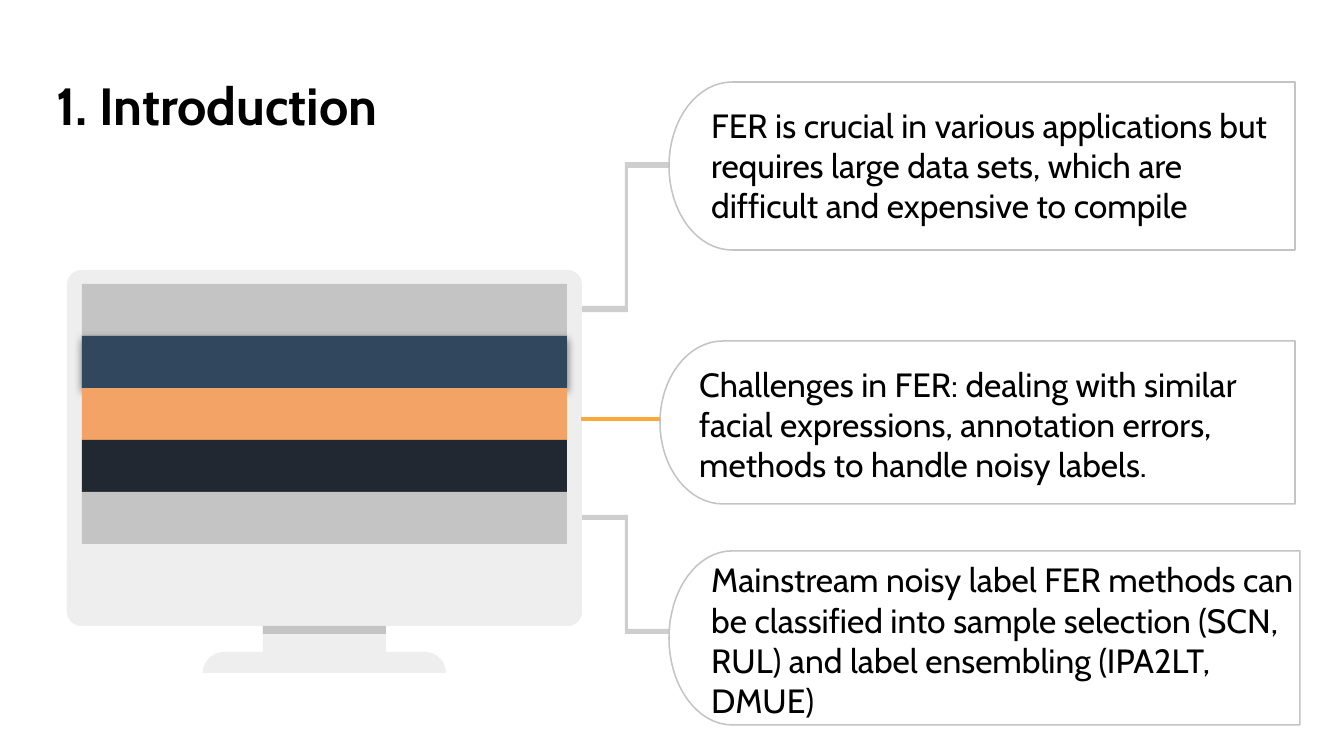
import math

from lxml import etree
from pptx import Presentation, util as u
from pptx.dml.color import RGBColor
from pptx.enum import shapes, text
from pptx.oxml import ns

PX = 914400 / 134.4
PALE, GREY = "EEEEEE", "C4C4C4"
MONITOR_LEFT, MONITOR_WIDTH = 67, 515
CALLOUT_CURVE = 63


def px(value):
    return u.Emu(round(value * PX))


def color(value):
    return RGBColor.from_string(value)


def paint(shape, fill, line=None):
    shape.shadow.inherit = False
    shape.fill.solid()
    shape.fill.fore_color.rgb = color(fill)
    if line:
        shape.line.color.rgb = color(line)
        shape.line.width = u.Pt(0.81)
    else:
        shape.line.fill.background()
    return shape


def add_block(slide, box, fill, kind=shapes.MSO_SHAPE.RECTANGLE, corners=()):
    block = slide.shapes.add_shape(kind, *map(px, box))
    for index, corner in enumerate(corners):
        block.adjustments[index] = corner
    return paint(block, fill)


def add_outline(slide, points, fill, line=None):
    first, *rest = [(px(x), px(y)) for x, y in points]
    builder = slide.shapes.build_freeform(*first, scale=1.0)
    builder.add_line_segments(rest, close=True)
    return paint(builder.convert_to_shape(), fill, line)


def arc(x, y, radius_x, radius_y, start, end, steps=32):
    angles = [math.radians(start + (end - start) * i / steps) for i in range(steps + 1)]
    return [(x + radius_x * math.cos(a), y + radius_y * math.sin(a)) for a in angles]


def add_callout(slide, left, top, right, bottom):
    radius = (bottom - top) / 2
    curve = arc(left + CALLOUT_CURVE, top + radius, CALLOUT_CURVE, radius, 270, 90)
    add_outline(slide, curve + [(right, bottom), (right, top)], "FFFFFF", GREY)


def add_bracket(slide, monitor_y, callout_y, thickness):
    points = [
        (581, monitor_y), (628, monitor_y), (628, callout_y), (669, callout_y),
        (669, callout_y - thickness), (625, callout_y - thickness),
        (625, monitor_y - thickness), (581, monitor_y - thickness),
    ]
    add_outline(slide, points, "CECECE")


def add_shadow(shape):
    properties = shape.element.spPr
    effects = properties.find(ns.qn("a:effectLst"))
    shadow = etree.SubElement(
        effects, ns.qn("a:outerShdw"), blurRad=str(u.Pt(4.5)), dist=str(u.Pt(1.5)),
        dir="5400000", algn="bl", rotWithShape="0")
    shade = etree.SubElement(shadow, ns.qn("a:srgbClr"), val="000000")
    etree.SubElement(shade, ns.qn("a:alpha"), val="50000")


def add_monitor(slide):
    add_block(slide, (MONITOR_LEFT, 270, MONITOR_WIDTH, 356), PALE,
              shapes.MSO_SHAPE.ROUNDED_RECTANGLE, (0.04,))
    add_block(slide, (MONITOR_LEFT, 559, MONITOR_WIDTH, 67), PALE,
              shapes.MSO_SHAPE.ROUND_2_SAME_RECTANGLE, (0, 0.22))
    add_block(slide, (263, 626, 123, 26), PALE)
    foot = arc(224, 673, 21, 21, 180, 270) + arc(425, 673, 21, 21, 270, 360)
    add_outline(slide, foot, PALE)
    add_block(slide, (263, 626, 123, 8), GREY)
    for row, fill in enumerate((GREY, "30475E", "F2A365", "222831", GREY)):
        band = add_block(slide, (82, 284 + 52 * row, 485, 52), fill)
        if row == 1:
            add_shadow(band)


def add_link(slide, left, right, y):
    link = slide.shapes.add_connector(
        shapes.MSO_CONNECTOR.STRAIGHT, px(left), px(y), px(right), px(y))
    link.line.color.rgb = color("FEA83A")
    link.line.width = u.Pt(2.25)
    etree.SubElement(link.element.spPr, ns.qn("a:effectLst"))


def add_text(slide, wording, box, size=18, bold=False):
    frame = slide.shapes.add_textbox(*map(px, box)).text_frame
    frame.word_wrap = True
    frame.vertical_anchor = text.MSO_ANCHOR.MIDDLE
    frame.margin_left = frame.margin_right = u.Inches(0.1)
    frame.margin_top = frame.margin_bottom = u.Inches(0.1)
    run = frame.paragraphs[0].add_run()
    run.text = wording
    run.font.name = "Cabin"
    run.font.size = u.Pt(size)
    run.font.bold = bold
    run.font.color.rgb = color("000000")


def main():
    deck = Presentation()
    deck.slide_width, deck.slide_height = px(1344), px(756)
    slide = deck.slides.add_slide(deck.slide_layouts[6])

    add_bracket(slide, 312, 168, 6)
    add_bracket(slide, 515, 629, -5)
    add_callout(slide, 669, 82, 1295, 250)
    add_callout(slide, 660, 341, 1295, 504)
    add_callout(slide, 669, 551, 1300, 725)
    add_monitor(slide)
    add_text(slide, "1. Introduction", (43, 77, 715, 56), size=28, bold=True)
    add_text(slide, "FER is crucial in various applications but requires large data sets, "
             "which are difficult and expensive to compile", (698, 108, 598, 114))
    add_text(slide, "Mainstream noisy label FER methods can be classified into sample "
             "selection (SCN, RUL) and label ensembling (IPA2LT, DMUE)",
             (698, 584, 620, 112))
    add_link(slide, 581, 660, 419)
    add_text(slide, "Challenges in FER: dealing with similar facial expressions, "
             "annotation errors, methods to handle noisy labels.", (686, 362, 630, 124))
    deck.save("out.pptx")


if __name__ == "__main__":
    main()
